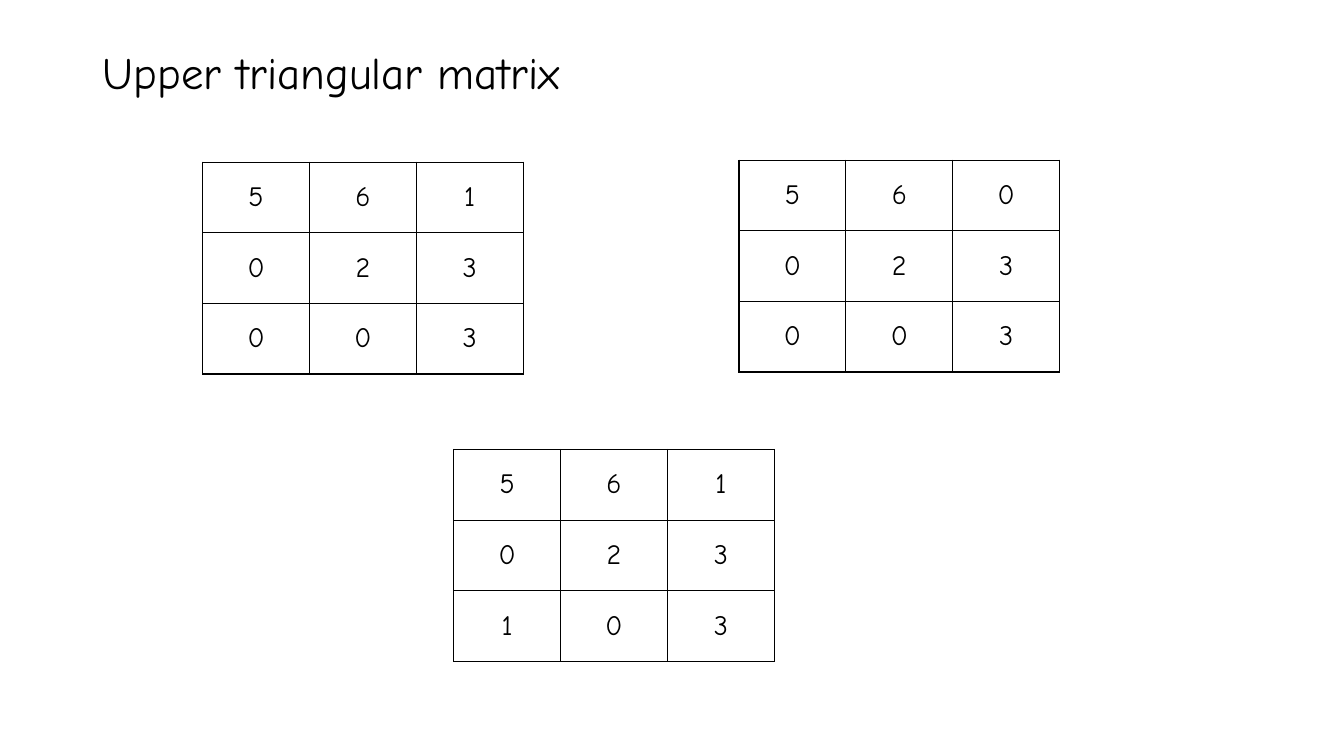
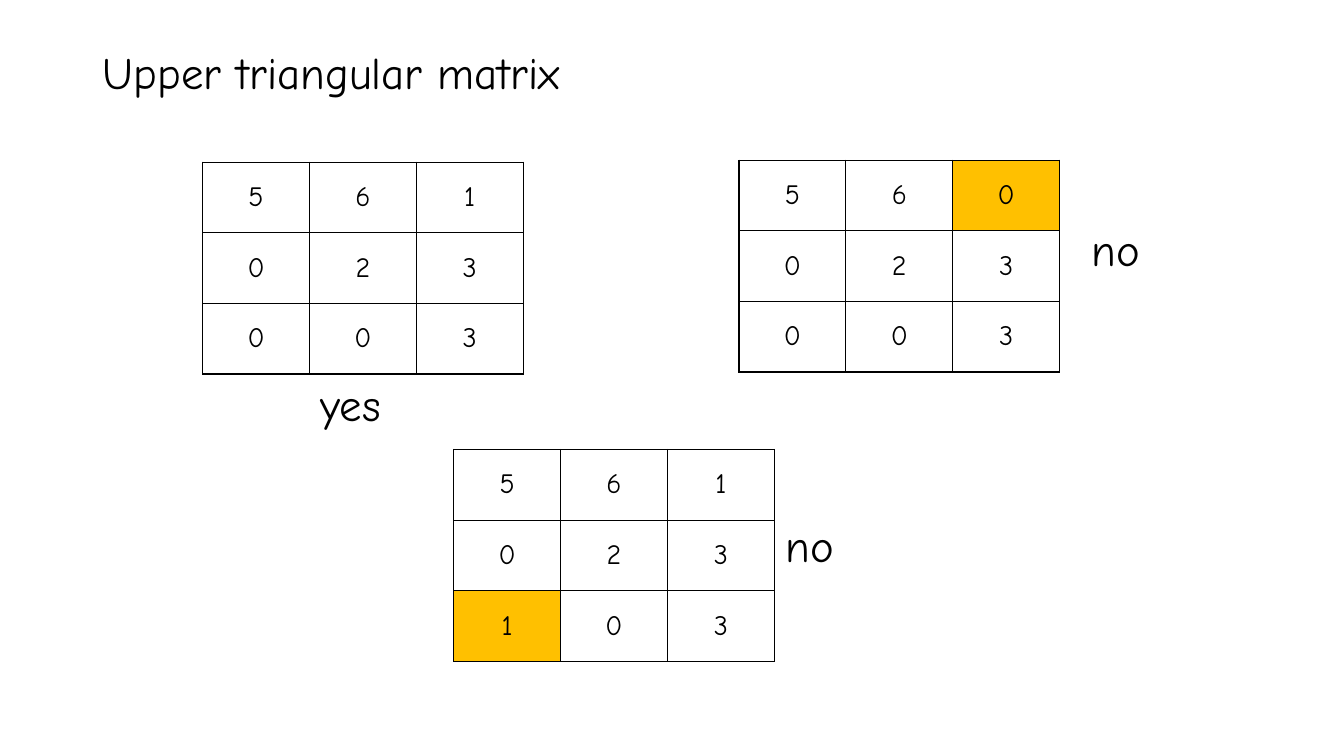
from lxml import etree
from pptx import Presentation
from pptx import util as u
from pptx.dml.color import RGBColor
from pptx.enum import text as t
from pptx.oxml.ns import qn

COLORS = {"ink": "000000", "paper": "FFFFFF", "mark": "FFC000"}
FONT = "Comic Neue"
TITLE = "Upper triangular matrix"
SLIDE_W, SLIDE_H = 13.33, 7.5
COL_W, ROW_H = 1.06, 0.7
BORDER_PT = 1

# Each matrix: top-left corner, values, (row, column) that breaks the rule,
# verdict and the verdict's box
MATRICES = [
    ((2.01, 1.61), ["561", "023", "003"], None, "yes", (3.08, 3.69, 1.48, 0.64)),
    ((7.33, 1.59), ["560", "023", "003"], (0, 2), "no", (10.73, 2.15, 0.79, 0.64)),
    ((4.5, 4.46), ["561", "023", "103"], (2, 0), "no", (7.69, 5.09, 0.79, 0.64)),
]


def color(name):
    return RGBColor.from_string(COLORS[name])


def write(frame, words, size=32, align=t.PP_ALIGN.LEFT, spacing=None):
    """Put one formatted paragraph into a text frame."""
    para = frame.paragraphs[0]
    para.alignment = align
    para.line_spacing = spacing
    span = para.add_run()
    span.text = words
    span.font.size = u.Pt(size)
    span.font.name = FONT
    span.font.bold = False
    span.font.color.rgb = color("ink")


def add_title(page):
    title = page.shapes.title
    title.left, title.top = u.Inches(0.92), u.Inches(0.4)
    title.width, title.height = u.Inches(11.5), u.Inches(0.69)
    title.text_frame.vertical_anchor = t.MSO_ANCHOR.MIDDLE
    write(title.text_frame, TITLE, spacing=0.9)


def add_label(page, words, place):
    box = page.shapes.add_textbox(*map(u.Inches, place))
    box.text_frame.word_wrap = True
    box.text_frame.auto_size = t.MSO_AUTO_SIZE.SHAPE_TO_FIT_TEXT
    write(box.text_frame, words)


def add_borders(cell):
    """Borders must come before the fill in the cell's properties."""
    properties = cell._tc.get_or_add_tcPr()
    for index, side in enumerate(("lnL", "lnR", "lnT", "lnB")):
        line = etree.Element(qn(f"a:{side}"), w=str(u.Pt(BORDER_PT)))
        fill = etree.SubElement(line, qn("a:solidFill"))
        etree.SubElement(fill, qn("a:srgbClr"), val=COLORS["ink"])
        properties.insert(index, line)


def add_matrix(page, corner, rows, marked=None):
    count, width = len(rows), len(rows[0])
    size = (width * COL_W, count * ROW_H)
    table = page.shapes.add_table(count, width, *map(u.Inches, corner + size)).table
    table.first_row = table.horz_banding = False
    for column in table.columns:
        column.width = u.Inches(COL_W)
    for r, values in enumerate(rows):
        table.rows[r].height = u.Inches(ROW_H)
        for c, value in enumerate(values):
            cell = table.cell(r, c)
            cell.vertical_anchor = t.MSO_ANCHOR.MIDDLE
            if (r, c) == marked:
                cell.fill.solid()
                cell.fill.fore_color.rgb = color("mark")
            else:
                cell.fill.background()
            add_borders(cell)
            write(cell.text_frame, value, size=20, align=t.PP_ALIGN.CENTER)


def add_page(deck, solved):
    """The question page, or with solved the same page with its answers."""
    page = deck.slides.add_slide(deck.slide_layouts[5])
    page.background.fill.solid()
    page.background.fill.fore_color.rgb = color("paper")
    add_title(page)
    for corner, rows, marked, verdict, place in MATRICES:
        add_matrix(page, corner, rows, marked if solved else None)
        if solved:
            add_label(page, verdict, place)


def main():
    deck = Presentation()
    deck.slide_width, deck.slide_height = u.Inches(SLIDE_W), u.Inches(SLIDE_H)
    for solved in (False, True):
        add_page(deck, solved)
    deck.save("out.pptx")


if __name__ == "__main__":
    main()
